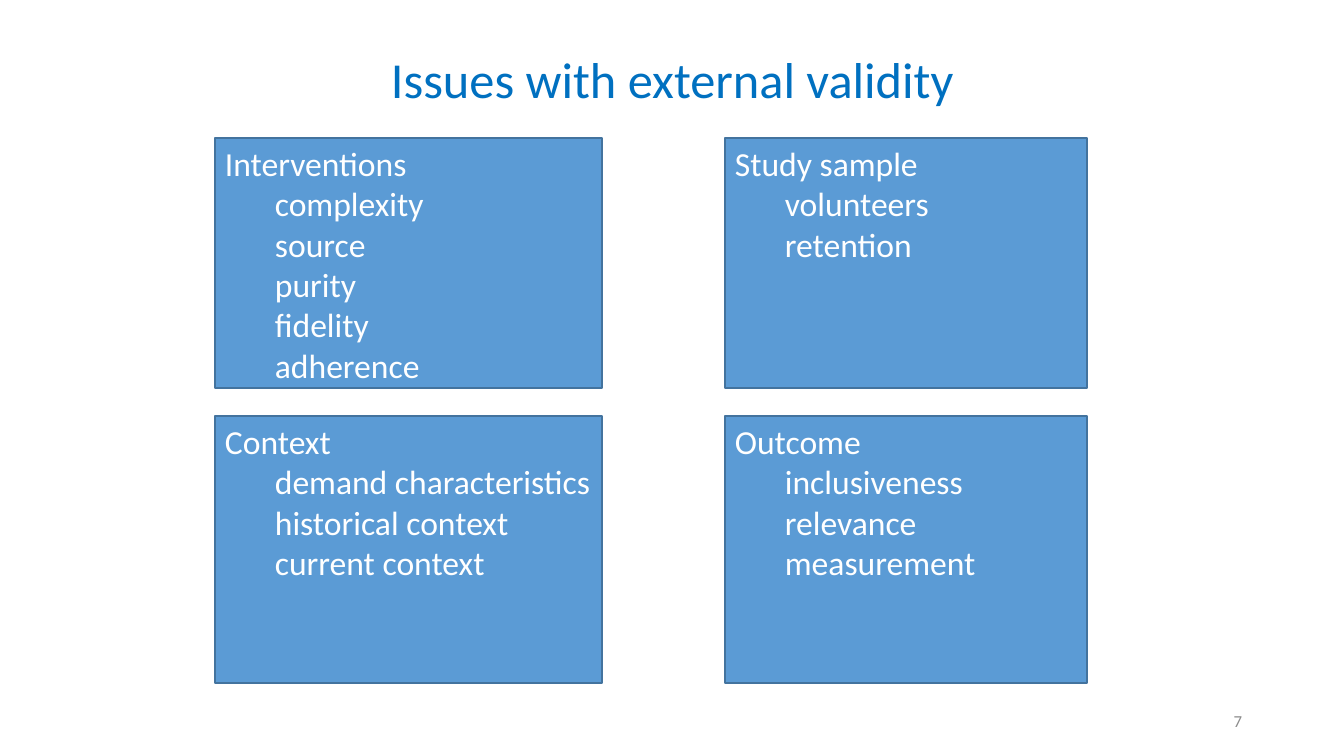
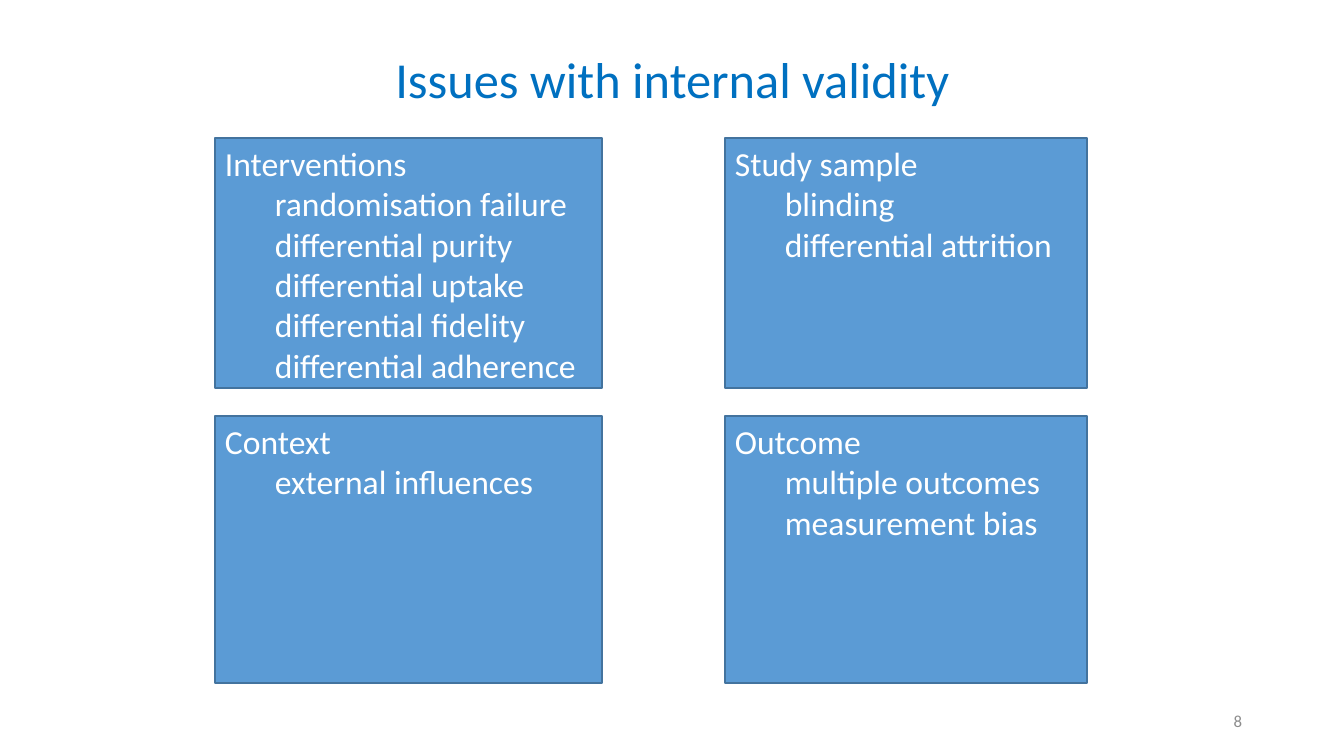
from pptx import Presentation
from pptx.dml.color import RGBColor
from pptx.enum.shapes import MSO_SHAPE
from pptx.enum.text import MSO_ANCHOR, MSO_AUTO_SIZE, PP_ALIGN
from pptx.util import Pt

RECT = MSO_SHAPE.RECTANGLE
TOP, MIDDLE = MSO_ANCHOR.TOP, MSO_ANCHOR.MIDDLE
LEFT, CENTER, RIGHT = PP_ALIGN.LEFT, PP_ALIGN.CENTER, PP_ALIGN.RIGHT
NO_AUTOFIT = MSO_AUTO_SIZE.NONE
TITLE_ONLY = 5
SCALE = 914400 / 100.8
FONT = "Calibri"
COLORS = {"title": "0070C0", "number": "8C8C8C", "box": "5B9BD5",
          "border": "43739E", "text": "FFFFFF"}
COLUMNS = [(215, 387), (725, 362)]
ROWS = [(138, 250), (416, 267)]
INDENT = 50
FIRST_NUMBER = 7

SLIDES = [
    ("Issues with external validity", [
        ("Interventions", ["complexity", "source", "purity", "fidelity", "adherence"]),
        ("Study sample", ["volunteers", "retention"]),
        ("Context", ["demand characteristics", "historical context", "current context"]),
        ("Outcome", ["inclusiveness", "relevance", "measurement"]),
    ]),
    ("Issues with internal validity", [
        ("Interventions", ["randomisation failure", "differential purity",
                           "differential uptake", "differential fidelity",
                           "differential adherence"]),
        ("Study sample", ["blinding", "differential attrition"]),
        ("Context", ["external influences"]),
        ("Outcome", ["multiple outcomes", "measurement bias"]),
    ]),
]


def px(n):
    """Turn px into EMU."""
    return round(n * SCALE)


def color(name):
    """Look up a named colour."""
    return RGBColor.from_string(COLORS[name])


def add_run(p, text, size, color_name, align):
    """Add one formatted run to an aligned paragraph."""
    p.alignment = align
    r = p.add_run()
    r.text = text
    r.font.size = Pt(size)
    r.font.name = FONT
    r.font.color.rgb = color(color_name)


def add_title(s, text):
    """Move, fill and format the title placeholder."""
    sp = s.shapes.title
    sp.left, sp.top, sp.width, sp.height = map(px, (93, 9, 1159, 146))
    tf = sp.text_frame
    tf.auto_size = NO_AUTOFIT
    tf.vertical_anchor = MIDDLE
    p = tf.paragraphs[0]
    p.line_spacing = 0.9
    add_run(p, text, 36, "title", CENTER)


def add_number(s, number):
    """Add the slide number at the lower right."""
    tf = s.shapes.add_textbox(*map(px, (950, 701, 302, 40))).text_frame
    tf.word_wrap = True
    tf.vertical_anchor = MIDDLE
    add_run(tf.paragraphs[0], str(number), 12, "number", RIGHT)


def add_box(s, bounds, heading, items):
    """Add a filled box with a heading and indented items."""
    sp = s.shapes.add_shape(RECT, *map(px, bounds))
    sp.shadow.inherit = False
    sp.fill.solid()
    sp.fill.fore_color.rgb = color("box")
    sp.line.color.rgb = color("border")
    sp.line.width = Pt(1)
    tf = sp.text_frame
    tf.word_wrap = True
    tf.vertical_anchor = TOP
    add_run(tf.paragraphs[0], heading, 24, "text", LEFT)
    for item in items:
        p = tf.add_paragraph()
        p.level = 1
        pPr = p._p.get_or_add_pPr()
        pPr.set("marL", str(px(INDENT)))
        pPr.set("indent", "0")
        add_run(p, item, 24, "text", LEFT)


def main():
    """Build and save the slides."""
    prs = Presentation()
    prs.slide_width, prs.slide_height = px(1344), px(756)
    cells = [(x, y, w, h) for y, h in ROWS for x, w in COLUMNS]
    for number, (title, boxes) in enumerate(SLIDES, FIRST_NUMBER):
        s = prs.slides.add_slide(prs.slide_layouts[TITLE_ONLY])
        add_title(s, title)
        add_number(s, number)
        for bounds, (heading, items) in zip(cells, boxes):
            add_box(s, bounds, heading, items)
    prs.save("out.pptx")


if __name__ == "__main__":
    main()
